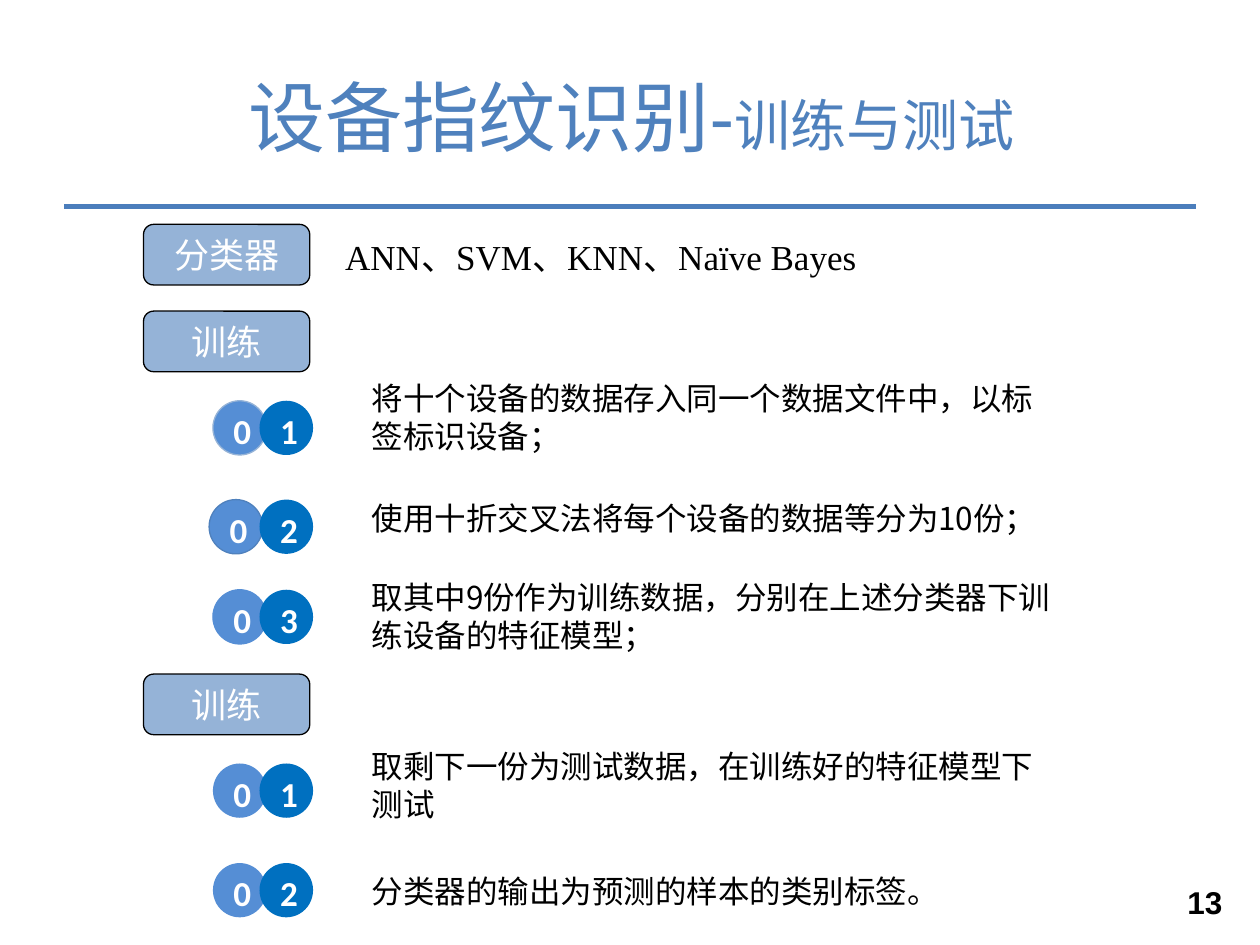
import pptx
import pptx.util
import pptx.dml.color
import pptx.enum.shapes
import pptx.enum.text
import pptx.oxml.ns
import lxml.etree

Pt = pptx.util.Pt
Shape = pptx.enum.shapes.MSO_SHAPE
Align = pptx.enum.text.PP_ALIGN
Anchor = pptx.enum.text.MSO_ANCHOR
Fit = pptx.enum.text.MSO_AUTO_SIZE
qn = pptx.oxml.ns.qn

COLORS = {
    "title": "4F81BD", "rule": "4B7EBC", "label": "95B3D7",
    "zero": "558ED5", "digit": "0070C0", "black": "000000", "white": "FFFFFF",
}
HAN = "Noto Sans CJK SC"


def color(name):
    return pptx.dml.color.RGBColor.from_string(COLORS[name])


class Page:
    def __init__(self, deck):
        self.slide = deck.slides.add_slide(deck.slide_layouts[5])
        self.shapes = self.slide.shapes

    def style(self, run, size, face, ink, bold=False):
        font = run.font
        font.size, font.name, font.bold = Pt(size), face, bold
        font.color.rgb = color(ink)
        props = run._r.get_or_add_rPr()
        east = lxml.etree.Element(qn("a:ea"), typeface=HAN)
        props.find(qn("a:latin")).addnext(east)

    def title(self, parts, left, top, width, height):
        box = self.shapes.title
        box.left, box.top, box.width, box.height = map(Pt, (left, top, width, height))
        frame = box.text_frame
        frame.auto_size = Fit.NONE
        frame.vertical_anchor = Anchor.MIDDLE
        para = frame.paragraphs[0]
        para.alignment = Align.CENTER
        for text, size in parts:
            run = para.add_run()
            run.text = text
            self.style(run, size, "Calibri", "title")

    def rule(self, left, right, y):
        line = self.shapes.add_connector(
            pptx.enum.shapes.MSO_CONNECTOR.STRAIGHT, Pt(left), Pt(y), Pt(right), Pt(y))
        line.line.color.rgb = color("rule")
        line.line.width = Pt(3)
        lxml.etree.SubElement(line._element.spPr, qn("a:effectLst"))

    def text(self, text, left, top, width, height, size=18, face=HAN):
        box = self.shapes.add_textbox(Pt(left), Pt(top), Pt(width), Pt(height))
        frame = box.text_frame
        frame.word_wrap = True
        frame.auto_size = Fit.SHAPE_TO_FIT_TEXT
        frame.text = text
        self.style(frame.paragraphs[0].runs[0], size, face, "black")

    def number(self, text, left, top, width, height):
        box = self.shapes.add_textbox(Pt(left), Pt(top), Pt(width), Pt(height))
        frame = box.text_frame
        frame.text = text
        frame.vertical_anchor = Anchor.MIDDLE
        frame.paragraphs[0].alignment = Align.RIGHT
        self.style(frame.paragraphs[0].runs[0], 18, "Arial", "black", True)

    def shape(self, kind, text, left, top, width, height, fill, edge, face, bold=False):
        item = self.shapes.add_shape(kind, Pt(left), Pt(top), Pt(width), Pt(height))
        item.shadow.inherit = False
        item.fill.solid()
        item.fill.fore_color.rgb = color(fill)
        if edge:
            item.line.color.rgb = color(edge)
            item.line.width = Pt(0.75)
        else:
            item.line.fill.background()
        frame = item.text_frame
        frame.vertical_anchor = Anchor.MIDDLE
        frame.text = text
        frame.paragraphs[0].alignment = Align.CENTER
        self.style(frame.paragraphs[0].runs[0], 20, face, "white", bold)
        return frame

    def label(self, text, top):
        self.shape(Shape.ROUNDED_RECTANGLE, text, 82, top, 95, 34.6,
                   "label", "black", "Arial")

    def badge(self, digit, top, left, edge):
        discs = [("0", left, "zero", edge), (digit, 148.3, "digit", None)]
        for text, x, fill, rim in discs:
            frame = self.shape(Shape.OVAL, text, x, top, 30.6, 31, fill, rim,
                               "Calibri", True)
            frame.word_wrap = False
            frame.margin_left = frame.margin_top = Pt(3)
            frame.margin_right = frame.margin_bottom = 0

    def step(self, digit, top, text, text_top, height, left=121.7, edge=None):
        self.badge(digit, top, left, edge)
        self.text(text, 205.2, text_top, 409.7, height)


def main():
    deck = pptx.Presentation()
    deck.slide_width, deck.slide_height = Pt(720), Pt(540)
    page = Page(deck)
    page.rule(36.7, 683.3, 118.1)
    page.title([("设备指纹识别-", 44), ("训练与测试", 32)], 36.7, 20.9, 648, 90)
    page.number("13", 666, 494.6, 39.6, 41.8)

    for text, top in [("分类器", 128.2), ("训练", 177.8), ("训练", 385.2)]:
        page.label(text, top)
    page.text("ANN、SVM、KNN、Naïve Bayes", 190.1, 131, 460, 31.7,
              20, "Times New Roman")

    page.step("1", 229, "将十个设备的数据存入同一个数据文件中，以标签标识设备；",
              213.1, 51, edge="label")
    page.step("2", 285.5, "使用十折交叉法将每个设备的数据等分为10份；",
              281.5, 29, left=119.5, edge="title")
    page.step("3", 337, "取其中9份作为训练数据，分别在上述分类器下训练设备的特征模型；",
              326.9, 51, edge="zero")
    page.step("1", 436.3, "取剩下一份为测试数据，在训练好的特征模型下测试", 423.4, 51)
    page.step("2", 493.2, "分类器的输出为预测的样本的类别标签。", 494.6, 29)

    deck.save("out.pptx")


if __name__ == "__main__":
    main()
